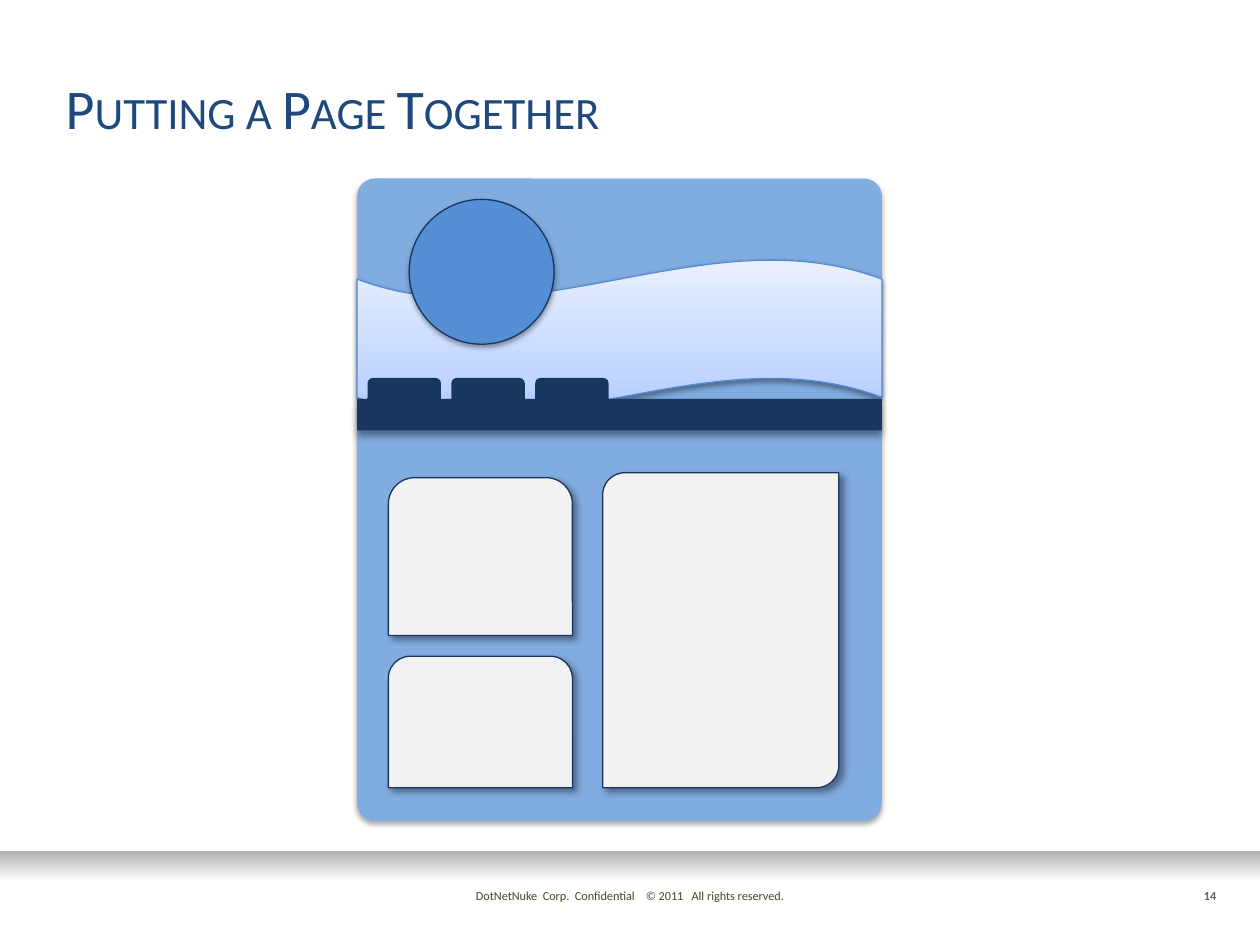
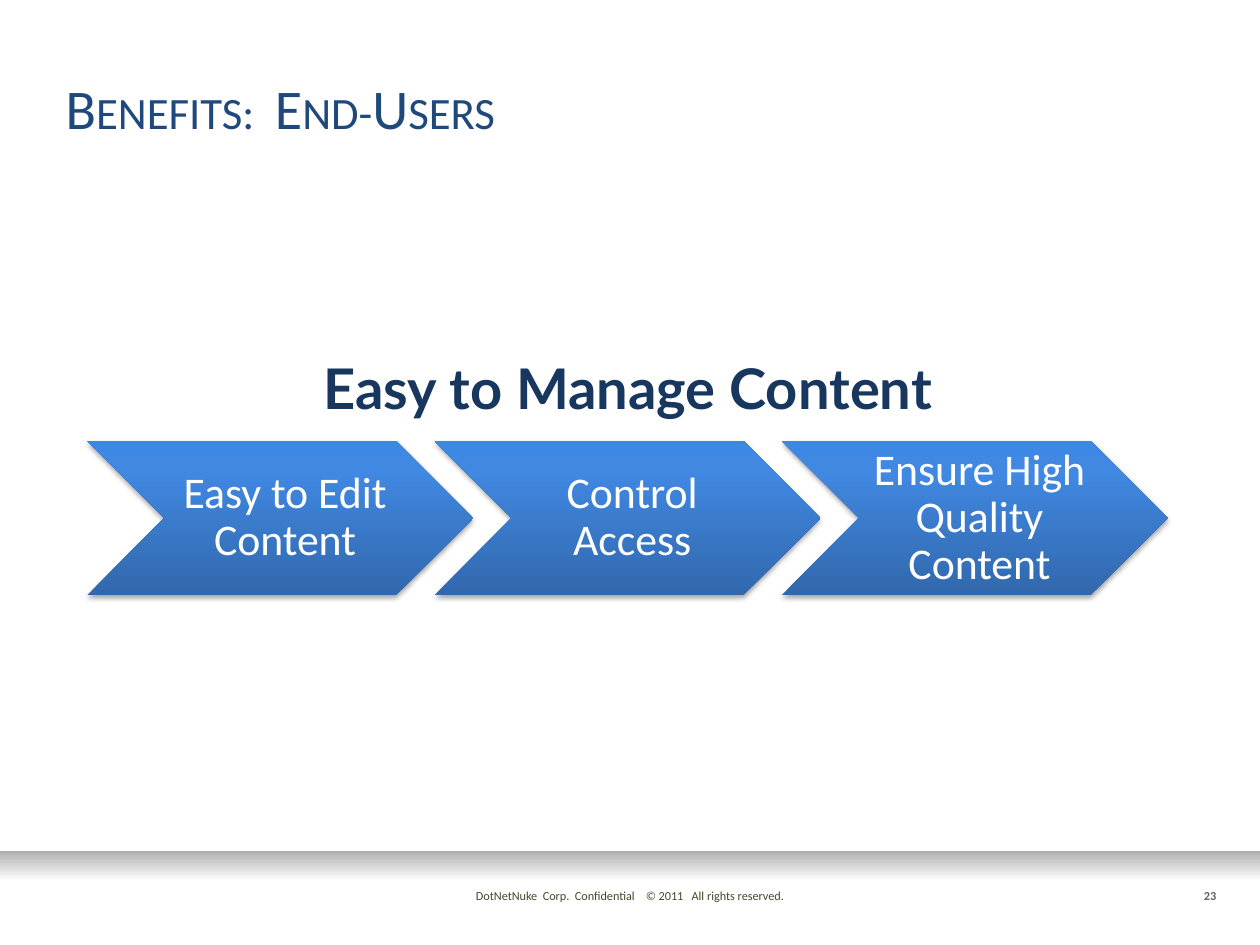
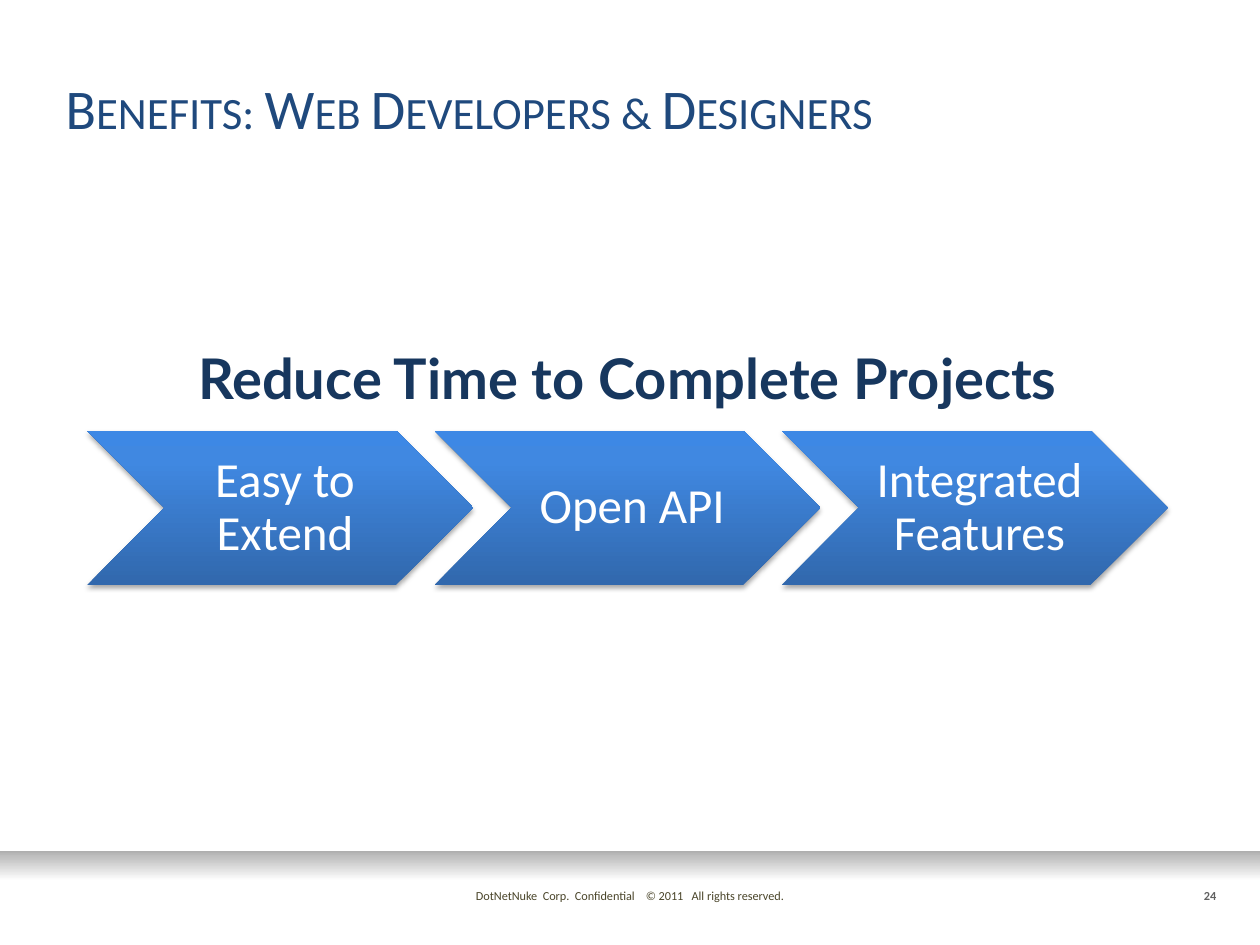
from dataclasses import dataclass

from lxml.etree import SubElement
from pptx import Presentation
from pptx.dml.color import RGBColor
from pptx.enum.shapes import MSO_SHAPE as Kind
from pptx.enum.text import MSO_ANCHOR as Anchor
from pptx.enum.text import MSO_AUTO_SIZE as Fit
from pptx.enum.text import PP_ALIGN as Align
from pptx.oxml.ns import qn
from pptx.util import Cm, Pt


@dataclass(frozen=True)
class Theme:
    font: str = "Calibri"
    bold: str = "Lato"
    title: str = "1F497D"
    navy: str = "17375E"
    edge: str = "15365E"
    page: str = "81ACE0"
    disc: str = "558ED5"
    crest: str = "508BD3"
    panel: str = "F2F2F2"
    white: str = "FFFFFF"
    foot: str = "4A452A"
    count: str = "616161"
    band: tuple = ((0, "ACACAC"), (11, "BFBFBF"), (56, "FFFFFF"), (100, "FFFFFF"))
    wave: tuple = ((0, "AFCAFF"), (35, "C6D9FF"), (100, "E9F0FF"))
    arrow: tuple = ((0, "3168AD"), (80, "4088E1"), (100, "3D88E5"))
    soft: tuple = (35, 3.1, 1.8, 90)
    mid: tuple = (38, 3.1, 1.6, 90)
    drop: tuple = (40, 4, 3, 90)
    slant: tuple = (40, 4, 3, 45)
    head: int = 32
    note: int = 7


def put(item, **vals):
    for key, val in vals.items():
        setattr(item, key, val)


class Deck:
    def __init__(self, theme):
        self.theme = theme
        self.deck = Presentation()
        put(self.deck, slide_width=Cm(25.4), slide_height=Cm(19.05))
        self.slide = None

    def start(self, title, count):
        theme = self.theme
        self.slide = self.deck.slides.add_slide(self.deck.slide_layouts[5])
        self.shape(Kind.RECTANGLE, (0, 17.15, 25.4, 1.07), theme.band).rotation = 180
        self.text((21.59, 17.78, 3.18, 0.56), count, theme.note, theme.count,
                  align=Align.RIGHT, bold=True)
        self.text((8.89, 17.78, 7.62, 0.56),
                  "DotNetNuke  Corp.  Confidential    © 2011   All rights reserved.",
                  theme.note, theme.foot)
        head = self.slide.shapes.title
        box = dict(zip(("left", "top", "width", "height"), map(Cm, (1.07, 1.27, 23.5, 1.7))))
        put(head, **box)
        put(head.text_frame, vertical_anchor=Anchor.BOTTOM, auto_size=Fit.NONE)
        run = self.label(head.text_frame, title, theme.head, theme.title,
                         align=Align.LEFT, space=Pt(28))
        run.font._element.set("cap", "small")

    def label(self, frame, text, size, color, face=None, align=Align.CENTER,
              bold=False, space=None):
        frame.word_wrap = True
        para = frame.paragraphs[0]
        put(para, alignment=align, line_spacing=space)
        run = para.add_run()
        run.text = text
        put(run.font, name=face or self.theme.font, size=Pt(size), bold=bold)
        run.font.color.rgb = RGBColor.from_string(color)
        return run

    def text(self, box, text, size, color, **form):
        frame = self.slide.shapes.add_textbox(*map(Cm, box)).text_frame
        frame.auto_size = Fit.SHAPE_TO_FIT_TEXT
        self.label(frame, text, size, color, **form)

    def blend(self, shape, stops):
        shape.fill.gradient()
        shape.fill.gradient_angle = 90
        group = shape._element.spPr.find(".//" + qn("a:gsLst"))
        group.clear()
        for place, color in stops:
            stop = SubElement(group, qn("a:gs"), pos=str(place * 1000))
            SubElement(stop, qn("a:srgbClr"), val=color)

    def shade(self, shape, alpha, blur, dist, turn):
        group = shape._element.spPr.find(qn("a:effectLst"))
        cast = SubElement(group, qn("a:outerShdw"), blurRad=str(Pt(blur)),
                          dist=str(Pt(dist)), dir=str(turn * 60000), rotWithShape="0")
        tint = SubElement(cast, qn("a:srgbClr"), val="000000")
        SubElement(tint, qn("a:alpha"), val=str(alpha * 1000))

    def shape(self, kind, box, fill, line=None, shade=None, bends=()):
        shape = self.slide.shapes.add_shape(kind, *map(Cm, box))
        for spot, bend in enumerate(bends):
            shape.adjustments[spot] = bend
        if isinstance(fill, tuple):
            self.blend(shape, fill)
        else:
            shape.fill.solid()
            shape.fill.fore_color.rgb = RGBColor.from_string(fill)
        if line:
            shape.line.color.rgb = RGBColor.from_string(line)
            shape.line.width = Pt(0.75)
        else:
            shape.line.fill.background()
        shape.shadow.inherit = False
        if shade:
            self.shade(shape, *shade)
        return shape

    def panel(self, kind, box, bends=()):
        theme = self.theme
        self.shape(kind, box, theme.panel, theme.navy, theme.slant, bends)

    def steps(self, head, names, top, size):
        theme = self.theme
        for spot, name in enumerate(names):
            box = (1.76 + 7.0 * spot, top, 7.78, 3.11)
            arrow = self.shape(Kind.CHEVRON, box, theme.arrow, shade=theme.soft)
            put(arrow.text_frame, vertical_anchor=Anchor.MIDDLE, margin_left=Cm(0.29),
                margin_right=Cm(0.1), margin_top=Cm(0.1), margin_bottom=Cm(0.1))
            self.label(arrow.text_frame, name, size, theme.white, space=0.9)
        self.text((0.64, top - 1.88, 24.03, 1.63), head, theme.head, theme.navy,
                  face=theme.bold, bold=True)

    def mockup(self):
        theme = self.theme
        left, width = 7.2, 10.58
        self.shape(Kind.ROUNDED_RECTANGLE, (left, 3.6, width, 12.95), theme.page,
                   shade=theme.soft, bends=(0.034,))
        wave = self.shape(Kind.WAVE, (left, 5.23, width, 3.18), theme.wave,
                          theme.crest, theme.mid)
        wave._element.spPr.xfrm.set("flipH", "1")
        self.shape(Kind.OVAL, (8.25, 4.02, 2.92, 2.92), theme.disc, theme.edge, theme.mid)
        self.panel(Kind.ROUND_2_DIAG_RECTANGLE, (12.15, 9.53, 4.76, 6.35), (0.094, 0))
        for top, height in ((9.63, 3.18), (13.23, 2.65)):
            self.panel(Kind.ROUND_2_SAME_RECTANGLE, (7.83, top, 3.71, height))
        for spot in range(3):
            self.shape(Kind.ROUNDED_RECTANGLE, (7.41 + 1.69 * spot, 7.62, 1.48, 0.64),
                       theme.navy)
        self.shape(Kind.RECTANGLE, (left, 8.04, width, 0.64), theme.navy, shade=theme.drop)


def main():
    show = Deck(Theme())
    show.start("Putting a Page Together", "14")
    show.mockup()
    show.start("Benefits:  End-Users", "23")
    show.steps("Easy to Manage Content",
               ("Easy to Edit Content", "Control Access", "Ensure High Quality Content"),
               8.89, 25)
    show.start("Benefits: Web Developers & Designers", "24")
    show.steps("Reduce Time to Complete Projects",
               ("Easy to Extend", "Open API", "Integrated Features"), 8.68, 28)
    show.deck.save("out.pptx")


if __name__ == "__main__":
    main()
